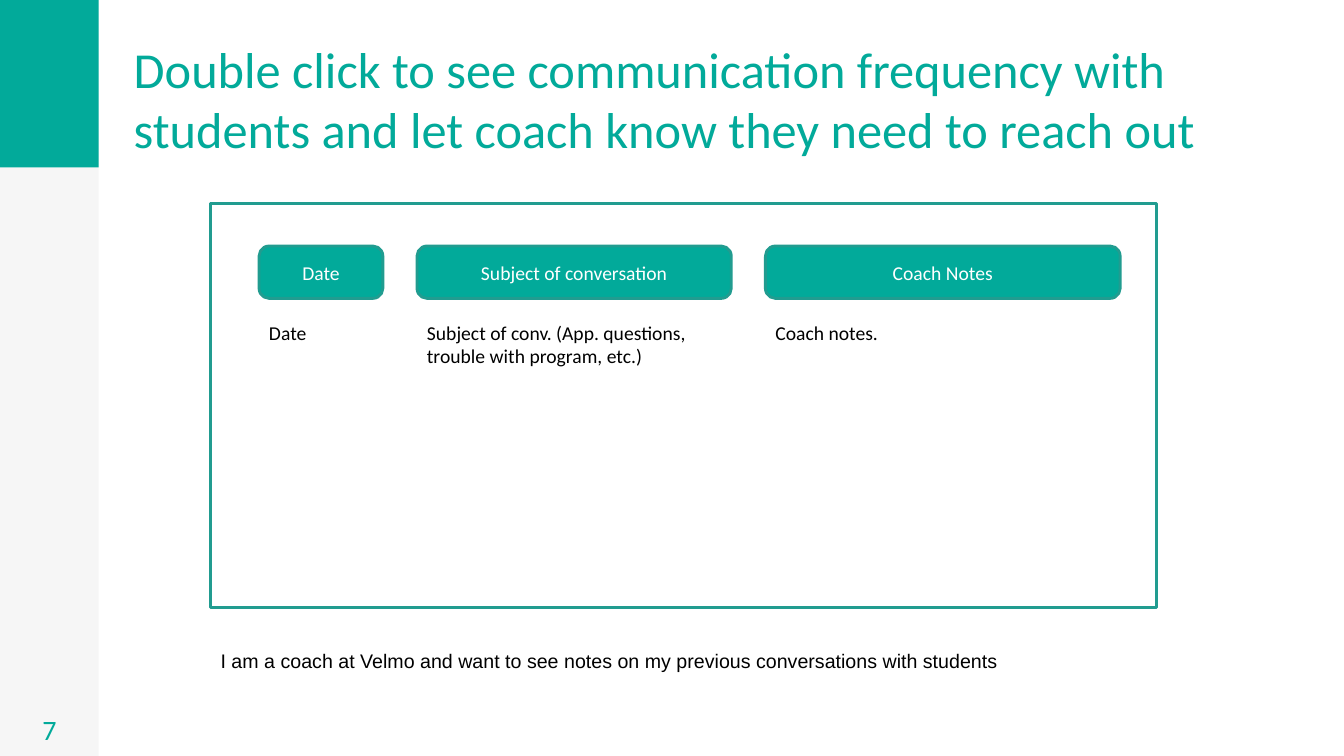
"""Builds the slide on coach notes from talks with students."""
from pptx import Presentation, util as u
from pptx.dml.color import RGBColor
from pptx.enum import shapes, text

TITLE = ("Double click to see communication frequency with "
         "students and let coach know they need to reach out")
COLUMNS = [
    ("Date", "Date", 3.12),
    ("Subject of conversation",
     "Subject of conv. (App. questions, trouble with program, etc.)", 7.92),
    ("Coach Notes", "Coach notes.", 8.94),
]
NOTE = "I am a coach at Velmo and want to see notes on my previous conversations with students"
NUMBER = "7"

THEME = {
    "teal": "02AA9A", "edge": "219C90", "gray": "F6F6F6",
    "white": "FFFFFF", "black": "000000",
    "head": 36, "page": 20, "body": 14,
    "font": "Calibri", "plain": "Arial",
}
WIDTH, HEIGHT = 33.87, 19.05
SIDE, BAND = 2.49, 4.22
LEFT, GAP = 6.53, 0.86
HEAD_TOP, HEAD_TALL, BODY_TOP = 6.2, 1.32, 7.95
KIND = shapes.MSO_SHAPE
MID, LOW = text.MSO_ANCHOR.MIDDLE, text.MSO_ANCHOR.BOTTOM
CENTER = text.PP_ALIGN.CENTER


def tint(name):
    """Return a theme colour."""
    return RGBColor.from_string(THEME[name])


def write(shape, words, size="body", color="black", font="font",
          align=text.PP_ALIGN.LEFT, anchor=text.MSO_ANCHOR.TOP, inset=None):
    """Put formatted text in a shape."""
    frame = shape.text_frame
    frame.text = words
    form = {"word_wrap": True, "auto_size": text.MSO_AUTO_SIZE.NONE,
            "vertical_anchor": anchor}
    if inset is not None:
        for edge in ("left", "right", "top", "bottom"):
            form["margin_" + edge] = u.Cm(inset)
    for key, value in form.items():
        setattr(frame, key, value)
    para = frame.paragraphs[0]
    para.alignment = align
    face = para.runs[0].font
    for key, value in {"name": THEME[font], "size": u.Pt(THEME[size])}.items():
        setattr(face, key, value)
    face.color.rgb = tint(color)


def block(slide, kind, box, fill, edge=None):
    """Add a filled shape with an optional outline."""
    shape = slide.shapes.add_shape(kind, *map(u.Cm, box))
    shape.shadow.inherit = False
    shape.fill.solid()
    shape.fill.fore_color.rgb = tint(fill)
    if edge:
        shape.line.color.rgb = tint(edge)
        shape.line.width = u.Pt(2)
    else:
        shape.line.fill.background()
    return shape


def label(slide, box, words, **form):
    """Add a text box."""
    write(slide.shapes.add_textbox(*map(u.Cm, box)), words, **form)


def main():
    """Build and save the slide."""
    deck = Presentation()
    deck.slide_width, deck.slide_height = u.Cm(WIDTH), u.Cm(HEIGHT)
    slide = deck.slides.add_slide(deck.slide_layouts[5])

    block(slide, KIND.RECTANGLE, (0, 0, SIDE, HEIGHT), "gray")
    block(slide, KIND.RECTANGLE, (0, 0, SIDE, BAND), "teal")
    title = slide.shapes.title
    for key, value in zip(("left", "top", "width", "height"),
                          (3.12, 0.03, 27.64, BAND)):
        setattr(title, key, u.Cm(value))
    write(title, TITLE, size="head", color="teal", anchor=LOW, inset=0.25)
    label(slide, (0, 12.67, SIDE, 6.38), NUMBER, size="page", color="teal",
          align=CENTER, anchor=LOW, inset=0.25)

    block(slide, KIND.RECTANGLE, (5.31, 5.13, 23.83, 10.19), "white", "edge")
    left = LEFT
    for head, body, wide in COLUMNS:
        pill = block(slide, KIND.ROUNDED_RECTANGLE,
                     (left, HEAD_TOP, wide, HEAD_TALL), "teal", "edge")
        pill.adjustments[0] = 0.19
        write(pill, head, color="white", align=CENTER, anchor=MID)
        label(slide, (left, BODY_TOP, wide, 1.45), body)
        left += wide + GAP
    label(slide, (5.31, 16.23, 21.72, 0.86), NOTE, font="plain")

    deck.save("out.pptx")


if __name__ == "__main__":
    main()
